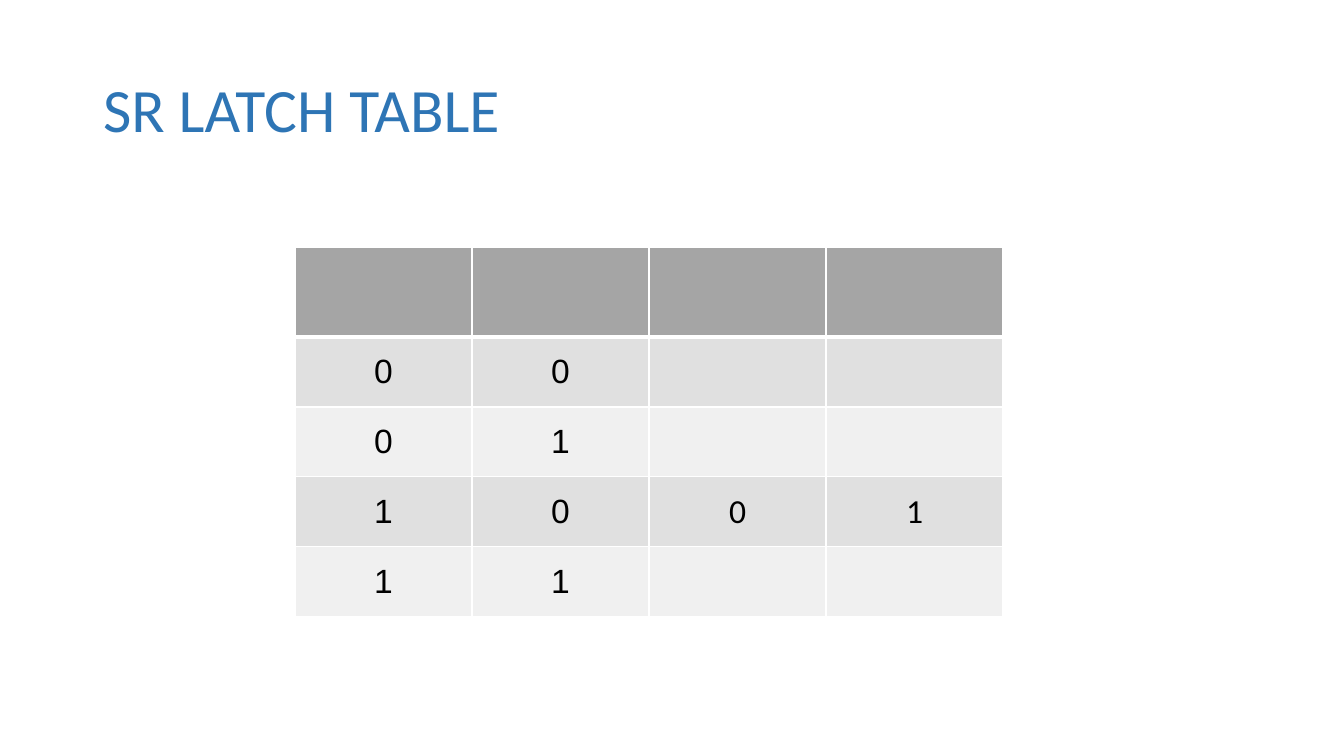
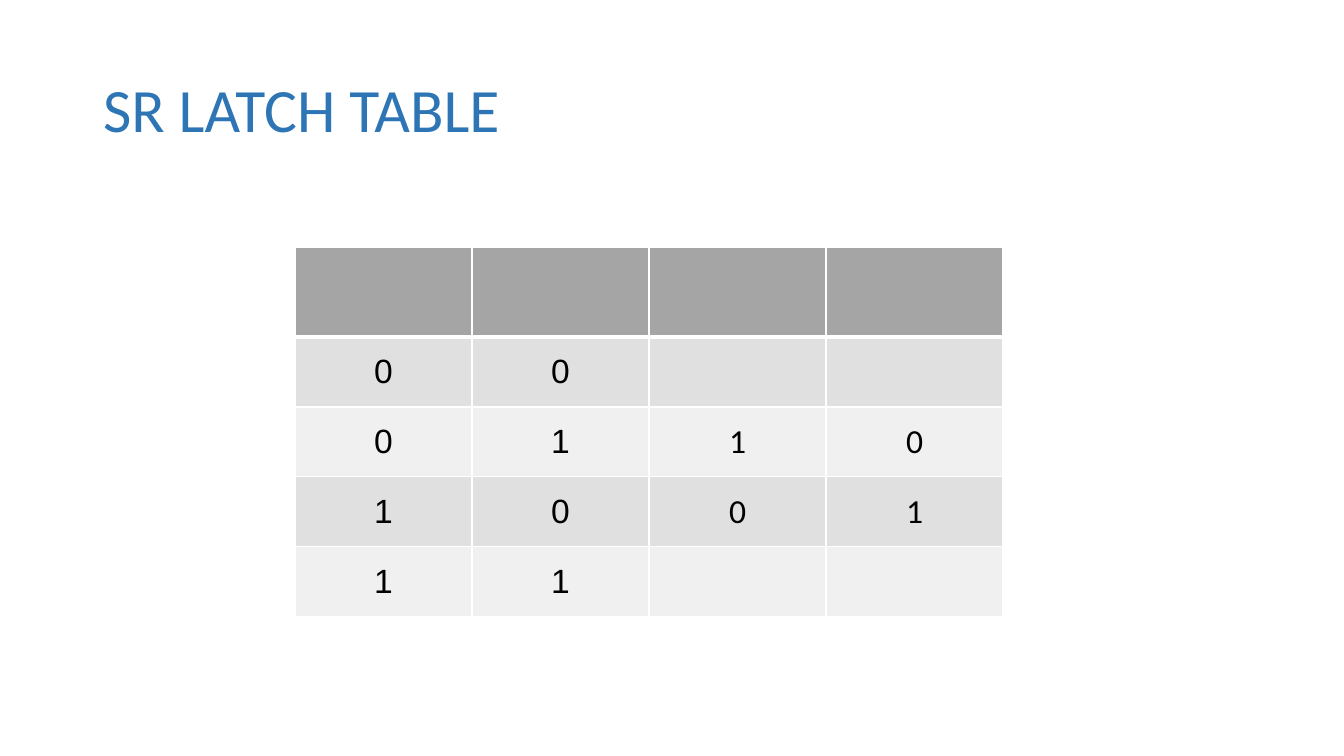
import pptx
import pptx.util
import pptx.dml.color
import pptx.enum.text
import pptx.oxml
import pptx.oxml.ns

SCALE = 914400 / 100.8
HUES = {
    "title": "2E75B5",
    "text": "000000",
    "head": "A5A5A5",
    "dark": "E0E0E0",
    "light": "F0F0F0",
    "rule": "FFFFFF",
}
INPUTS = [("0", "0"), ("0", "1"), ("1", "0"), ("1", "1")]
STATES = [
    {("1", "0"): ("0", "1")},
    {("0", "1"): ("1", "0"), ("1", "0"): ("0", "1")},
]


def px(size):
    return pptx.util.Emu(round(size * SCALE))


def color(name):
    return pptx.dml.color.RGBColor.from_string(HUES[name])


def write(frame, text, font="Calibri", size=24, hue="text", align="CENTER", space=1.0):
    para = frame.paragraphs[0]
    para.alignment = getattr(pptx.enum.text.PP_ALIGN, align)
    para.line_spacing = space
    run = para.add_run()
    run.text = text
    run.font.name = font
    run.font.size = pptx.util.Pt(size)
    run.font.color.rgb = color(hue)


class Deck:
    def __init__(self):
        self.show = pptx.Presentation()
        self.show.slide_width = px(1344)
        self.show.slide_height = px(756)
        self.slide = None

    def page(self, title):
        self.slide = self.show.slides.add_slide(self.show.slide_layouts[5])
        box = self.slide.shapes.title
        box.left, box.top, box.width, box.height = map(px, (93, 40, 1159, 146))
        frame = box.text_frame
        frame.word_wrap = True
        frame.auto_size = pptx.enum.text.MSO_AUTO_SIZE.NONE
        frame.vertical_anchor = pptx.enum.text.MSO_ANCHOR.MIDDLE
        write(frame, title, size=44, hue="title", align="LEFT", space=0.9)

    def border(self, cell, widths):
        props = cell._tc.get_or_add_tcPr()
        for side, width in zip("LRTB", widths):
            props.append(pptx.oxml.parse_xml(
                f'<a:ln{side} {pptx.oxml.ns.nsdecls("a")} w="{pptx.util.Pt(width)}">'
                f'<a:solidFill><a:srgbClr val="{HUES["rule"]}"/></a:solidFill>'
                f'</a:ln{side}>'))

    def table(self, rows, left=295, top=247, width=177, head=90, height=70):
        count = len(rows[0])
        total = head + height * (len(rows) - 1)
        spot = map(px, (left, top, width * count, total))
        grid = self.slide.shapes.add_table(len(rows), count, *spot).table
        grid.horz_banding = False
        for col in grid.columns:
            col.width = px(width)
        for y, row in enumerate(rows):
            grid.rows[y].height = px(height if y else head)
            hue = ("dark" if y % 2 else "light") if y else "head"
            for x, text in enumerate(row):
                cell = grid.cell(y, x)
                self.border(cell, (1, 1, 3 if y == 1 else 1, 1 if y else 3))
                cell.fill.solid()
                cell.fill.fore_color.rgb = color(hue)
                cell.vertical_anchor = pptx.enum.text.MSO_ANCHOR.MIDDLE
                if text:
                    write(cell.text_frame, text, font="Arial" if x < 2 else "Calibri")


def main():
    deck = Deck()
    for state in STATES:
        deck.page("SR LATCH TABLE")
        body = [pair + state.get(pair, ("", "")) for pair in INPUTS]
        deck.table([("",) * 4] + body)
    deck.show.save("out.pptx")


if __name__ == "__main__":
    main()
